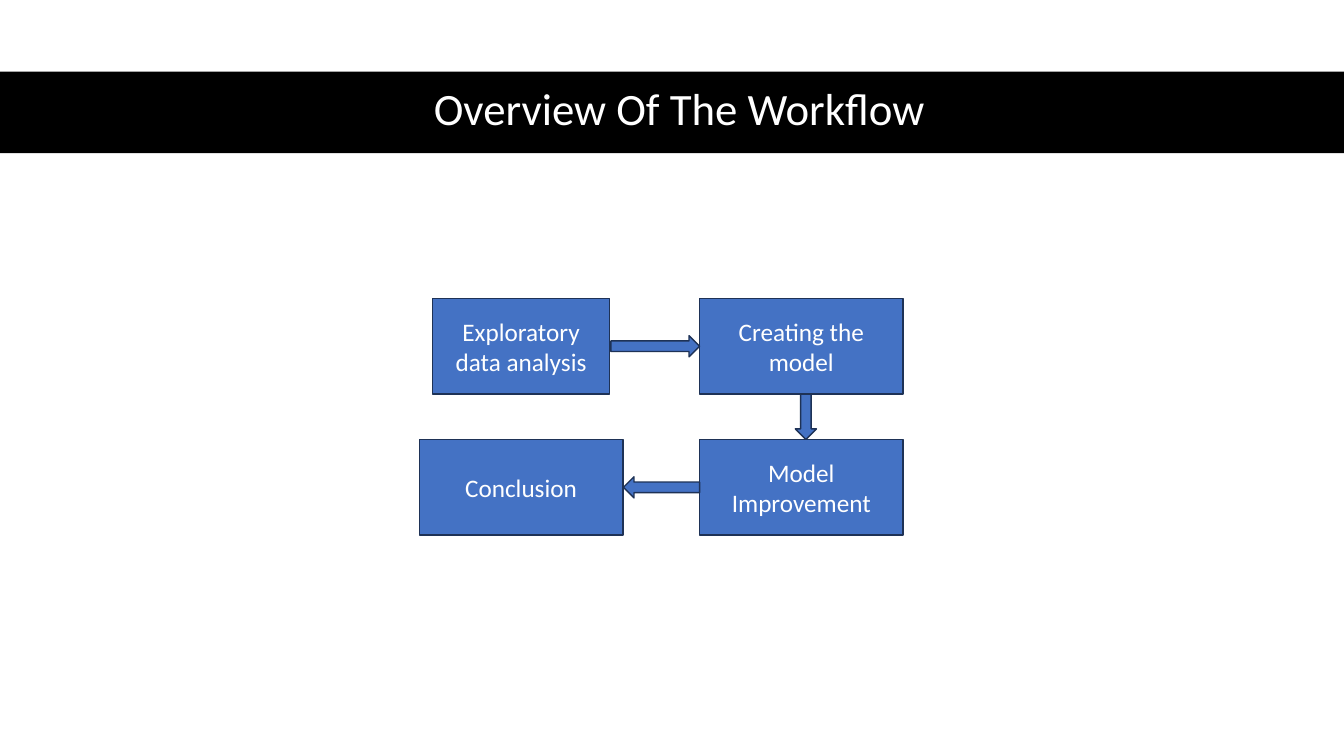
from typing import NamedTuple

from pptx import Presentation
from pptx.dml.color import RGBColor
from pptx.enum.shapes import MSO_SHAPE
from pptx.enum.text import MSO_ANCHOR, MSO_AUTO_SIZE, PP_ALIGN
from pptx.util import Pt

RECT = MSO_SHAPE.RECTANGLE
RIGHT = MSO_SHAPE.RIGHT_ARROW
DOWN = MSO_SHAPE.DOWN_ARROW
LEFT = MSO_SHAPE.LEFT_ARROW
MIDDLE = MSO_ANCHOR.MIDDLE
CENTER = PP_ALIGN.CENTER
NO_FIT = MSO_AUTO_SIZE.NONE

COLORS = {"band": "000000", "fill": "4472C4", "edge": "1E3256", "text": "FFFFFF"}
FRAME = {"word_wrap": True, "auto_size": NO_FIT, "vertical_anchor": MIDDLE}
TOP, BOTTOM = 213.1, 313.9
TALL, THIN = 68.4, 15.1


class Item(NamedTuple):
    left: float
    top: float
    width: float
    height: float
    kind: int = RECT
    text: str = ""


STEPS = [
    Item(308.9, TOP, 126.7, TALL, text="Exploratory data analysis"),
    Item(499.7, TOP, 145.4, TALL, text="Creating the model"),
    Item(499.7, BOTTOM, 145.4, TALL, text="Model Improvement"),
    Item(299.5, BOTTOM, 145.4, TALL, text="Conclusion"),
]
ARROWS = [
    Item(436.3, TOP + (TALL - THIN) / 2, 63.4, THIN, RIGHT),
    Item(568.1, TOP + TALL, THIN, BOTTOM - TOP - TALL, DOWN),
    Item(445.3, BOTTOM + (TALL - THIN) / 2, 54.4, THIN, LEFT),
]


def color(name: str) -> RGBColor:
    return RGBColor.from_string(COLORS[name])


def assign(target, values: dict) -> None:
    """Set each named attribute of the target."""
    for name, value in values.items():
        setattr(target, name, value)


def write(shape, text: str, size: float, space: float) -> None:
    frame = shape.text_frame
    assign(frame, FRAME)
    frame.text = text
    para = frame.paragraphs[0]
    assign(para, {"alignment": CENTER, "line_spacing": space})
    assign(para.font, {"name": "Calibri", "size": Pt(size)})
    para.font.color.rgb = color("text")


def draw(slide, item: Item, fill: str = "fill", edge: str = "edge") -> None:
    """Draw one shape, with no outline if edge is empty."""
    box = [Pt(n) for n in item[:4]]
    shape = slide.shapes.add_shape(item.kind, *box)
    shape.shadow.inherit = False
    shape.fill.solid()
    shape.fill.fore_color.rgb = color(fill)
    if edge:
        shape.line.color.rgb = color(edge)
        shape.line.width = Pt(1)
    else:
        shape.line.fill.background()
    if item.text:
        write(shape, item.text, 18, 1.0)


def main() -> None:
    deck = Presentation()
    assign(deck, {"slide_width": Pt(960), "slide_height": Pt(540)})
    slide = deck.slides.add_slide(deck.slide_layouts[5])
    draw(slide, Item(0, 51.1, 960, 58.3), "band", "")

    title = slide.shapes.title
    place = {"left": 43.9, "top": 50.4, "width": 882.7, "height": 58.3}
    assign(title, {name: Pt(n) for name, n in place.items()})
    write(title, "Overview Of The Workflow", 32, 0.9)
    # The title must stand in front of the band.
    slide.shapes._spTree.append(title._element)

    for item in STEPS + ARROWS:
        draw(slide, item)
    deck.save("out.pptx")


if __name__ == "__main__":
    main()
